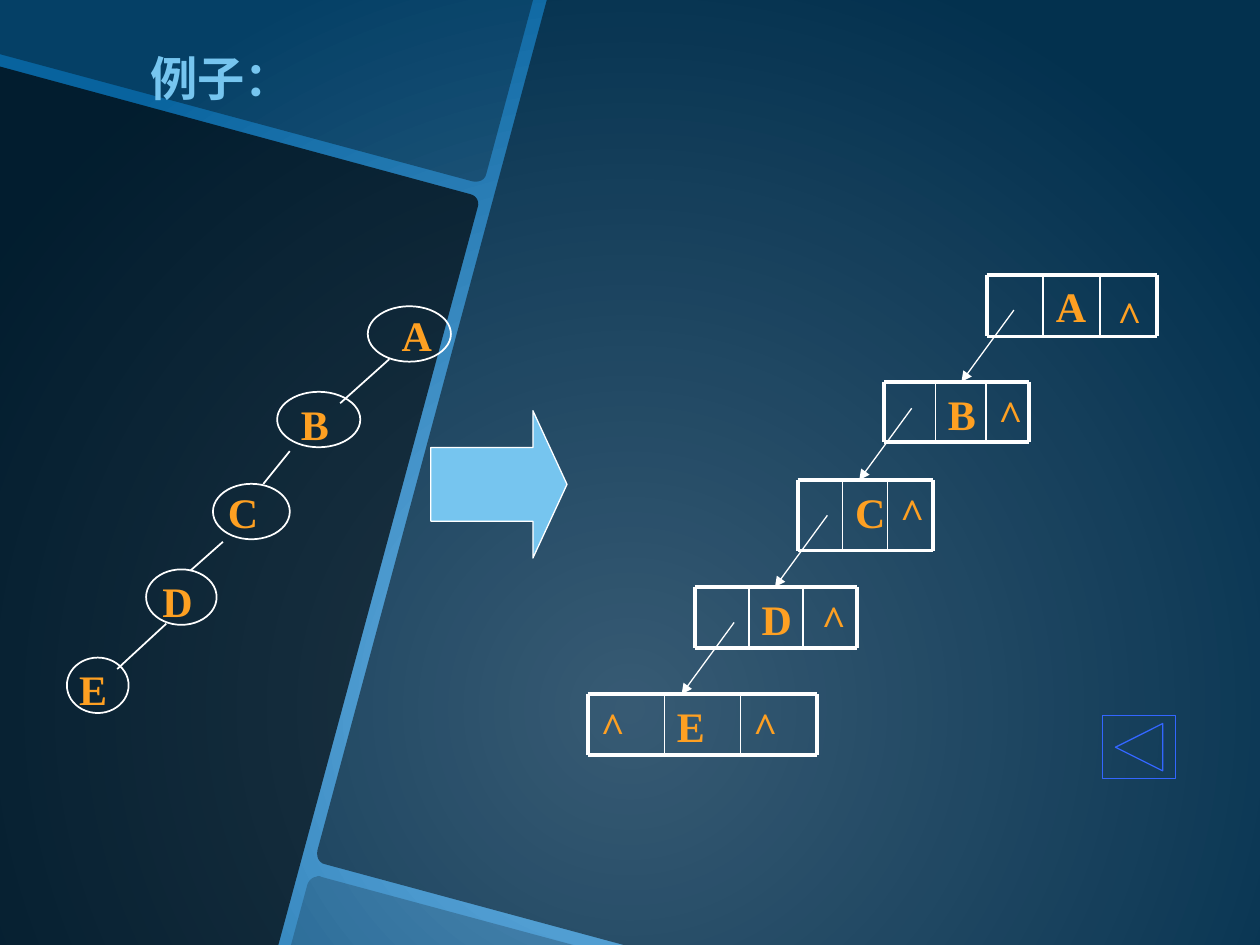
"""Builds a slide showing a left-leaning binary tree and its linked storage."""
from itertools import accumulate

from lxml import etree
from pptx import Presentation
from pptx import util as u
from pptx.dml.color import RGBColor
from pptx.enum import shapes, text
from pptx.oxml.ns import qn

Pt = u.Pt
COLORS = {
    "glow": "70B6E8", "deep": "08639E", "panel": "000000", "sky": "76C5EF",
    "letter": "FEA022", "outline": "FFFFFF", "button": "3366FF",
}
LETTER = {"size": Pt(24), "name": "Times New Roman", "bold": True}
TITLE = {"size": Pt(27), "name": "Noto Sans CJK SC", "bold": True}
THICK, THIN, FINE = 2.25, 1, 0.75

PANELS = [
    (70, [(0, 38), (268.6, 110.9), ((272.2, 111.6), (274.3, 115.2), (272.9, 118.8)),
          (159.1, 540), (0, 540)]),
    (35, [(0, 0), (304.6, 0), (277.9, 99.4),
          ((277.2, 103), (273.6, 104.4), (270, 103.7)), (0, 31)]),
    (20, [(180.7, 501.1), ((181.4, 500.4), (182.9, 500.4), (183.6, 501.1)),
          (327.6, 540), (166.3, 540), (175.7, 505.4),
          ((176.4, 503.3), (178.6, 501.1), (180.7, 501.1))]),
    (50, [(312.5, 0), (720, 0), (720, 540), (356.4, 540), (185.8, 493.9),
          ((182.2, 493.2), (180.7, 489.6), (181.4, 486))]),
]
TREE_NODES = [
    ("A", (210.2, 175, 47.5), (222.5, 173.5)),
    ("B", (158.4, 223.9, 47.5), (164.9, 223.9)),
    ("C", (121.7, 276.5, 43.9), (123.1, 274.3)),
    ("D", (83.5, 325.4, 40.3), (85.7, 325.4)),
    ("E", (38.2, 375.8, 35.3), (38.2, 375.8)),
]
TREE_EDGES = [
    (222.5, 205.2, 194.4, 230.4), (165.6, 257.8, 150.5, 276.5),
    (127.4, 309.6, 108.7, 326.2), (95, 356.4, 67, 382.3),
]
LIST_NODES = [
    (563.8, 157, 35.3, [32.4] * 3, ["", "A", "^"], (2.8, 5)),
    (505.4, 218.2, 34.6, [29.2, 28.8, 24.5], ["", "B", "^"], (0, 0)),
    (455.8, 274.3, 40.3, [25.7] * 3, ["", "C", "^"], (0, 0)),
    (397.4, 335.5, 34.6, [30.7] * 3, ["", "D", "^"], (3.6, 0)),
    (336.2, 396.7, 34.6, [43.5] * 3, ["^", "E", "^"], (0, 0)),
]
POINTER_TIPS = [549.4, 491, 442.8, 389.5]
POINTER_RUN, POINTER_DROP = 30, 41


def color(name):
    """Return the named colour."""
    return RGBColor.from_string(COLORS[name])


def apply(target, values):
    """Set every attribute named in a dict of format values."""
    for key, value in values.items():
        setattr(target, key, value)


def paint_background(slide):
    """Fill the slide with a radial glow centred low on the page."""
    fill = slide.background.fill
    fill.gradient()
    for stop, name in zip(fill.gradient_stops, ("glow", "deep")):
        stop.color.rgb = color(name)
    linear = slide._element.find(".//" + qn("a:lin"))
    radial = etree.Element(qn("a:path"), path="circle")
    etree.SubElement(radial, qn("a:fillToRect"), l="50000", t="50000", r="50000", b="0")
    linear.getparent().replace(linear, radial)


def curve_points(start, controls, steps=6):
    """Return points along a cubic curve after its start."""
    points = []
    for step in range(1, steps + 1):
        t = step / steps
        weights = ((1 - t) ** 3, 3 * t * (1 - t) ** 2, 3 * t * t * (1 - t), t ** 3)
        corners = (start, *controls)
        points.append(tuple(sum(w * c[axis] for w, c in zip(weights, corners))
                            for axis in (0, 1)))
    return points


def add_panel(slide, opacity, outline):
    """Add a translucent dark panel with rounded corners."""
    points = [outline[0]]
    for part in outline[1:]:
        points += curve_points(points[-1], part) if len(part) == 3 else [part]
    corners = [(Pt(x), Pt(y)) for x, y in points]
    builder = slide.shapes.build_freeform(*corners[0])
    builder.add_line_segments(corners[1:], close=True)
    panel = builder.convert_to_shape()
    panel.shadow.inherit = False
    panel.fill.solid()
    panel.fill.fore_color.rgb = color("panel")
    panel.line.fill.background()
    tint = panel.fill._xPr.find(".//" + qn("a:srgbClr"))
    etree.SubElement(tint, qn("a:alpha"), val=str(opacity * 1000))


def add_figure(parent, kind, box, line_color, width, fill=None):
    """Add an outlined preset shape, hollow unless a fill is named."""
    figure = parent.shapes.add_shape(kind, *map(Pt, box))
    figure.shadow.inherit = False
    if fill:
        figure.fill.solid()
        figure.fill.fore_color.rgb = color(fill)
    else:
        figure.fill.background()
    figure.line.color.rgb = color(line_color)
    figure.line.width = Pt(width)
    return figure


def add_line(parent, ends, width, arrow=False):
    """Add a straight white line, with an arrowhead at its end if asked."""
    line = parent.shapes.add_connector(shapes.MSO_CONNECTOR.STRAIGHT, *map(Pt, ends))
    line.line.color.rgb = color("outline")
    line.line.width = Pt(width)
    if arrow:
        etree.SubElement(line.line._get_or_add_ln(), qn("a:tailEnd"), type="triangle")
    etree.SubElement(line._element.spPr, qn("a:effectLst"))


def add_label(parent, words, box, font, font_color, frame=None, align=None):
    """Add a text box holding one line."""
    label = parent.shapes.add_textbox(*map(Pt, box)).text_frame
    apply(label, {"word_wrap": True, **(frame or {})})
    paragraph = label.paragraphs[0]
    paragraph.alignment = align
    run = paragraph.add_run()
    run.text = words
    apply(run.font, font)
    run.font.color.rgb = color(font_color)
    etree.SubElement(run.font._element, qn("a:ea"), typeface=font["name"])


def add_tree(slide):
    """Add the binary tree on the left."""
    tree = slide.shapes.add_group_shape()
    for letter, (left, top, width), corner in TREE_NODES:
        add_figure(tree, shapes.MSO_SHAPE.OVAL, (left, top, width, 31.7), "outline", THIN)
        add_label(tree, letter, (*corner, 31, 36), LETTER, "letter", {"word_wrap": False})
    for edge in TREE_EDGES:
        add_line(tree, edge, THIN)


def add_list_node(parent, left, top, height, widths, cells, caret_shift):
    """Add a three-cell storage node."""
    edges = list(accumulate(widths, initial=left))
    bottom = top + height
    for x, width, words in zip(edges, widths, cells):
        dx, dy = caret_shift if words == "^" else (0, 0)
        if words:
            add_label(parent, words, (x + dx, top + dy, width, height), LETTER, "letter")
    for y in (top, bottom):
        add_line(parent, (left, y, edges[-1], y), THICK)
    for x in edges:
        add_line(parent, (x, top, x, bottom), THICK if x in (left, edges[-1]) else THIN)


def add_linked_list(slide):
    """Add the storage nodes on the right and the pointers between them."""
    storage = slide.shapes.add_group_shape()
    for node in LIST_NODES:
        add_list_node(storage, *node)
    for tip, (_, top, *_) in zip(POINTER_TIPS, LIST_NODES[1:]):
        add_line(storage, (tip + POINTER_RUN, top - POINTER_DROP, tip, top), FINE, arrow=True)


def main():
    """Build and save the slide."""
    deck = Presentation()
    apply(deck, {"slide_width": Pt(720), "slide_height": Pt(540)})
    slide = deck.slides.add_slide(deck.slide_layouts[6])
    paint_background(slide)
    for panel in PANELS:
        add_panel(slide, *panel)
    back = add_figure(slide, shapes.MSO_SHAPE.ACTION_BUTTON_FORWARD_OR_NEXT,
                      (630, 409, 41.8, 36), "button", FINE)
    back._element.spPr.xfrm.set("flipH", "1")
    add_label(slide, "例子： ", (50.4, 24.5, 129.6, 39.6), TITLE, "sky",
              {"vertical_anchor": text.MSO_ANCHOR.MIDDLE}, text.PP_ALIGN.RIGHT)
    add_tree(slide)
    becomes = add_figure(slide, shapes.MSO_SHAPE.RIGHT_ARROW,
                         (246.2, 234.7, 77.8, 84.2), "outline", FINE, "sky")
    becomes.adjustments[0], becomes.adjustments[1] = 0.5, 0.25
    add_linked_list(slide)
    deck.save("out.pptx")


if __name__ == "__main__":
    main()
